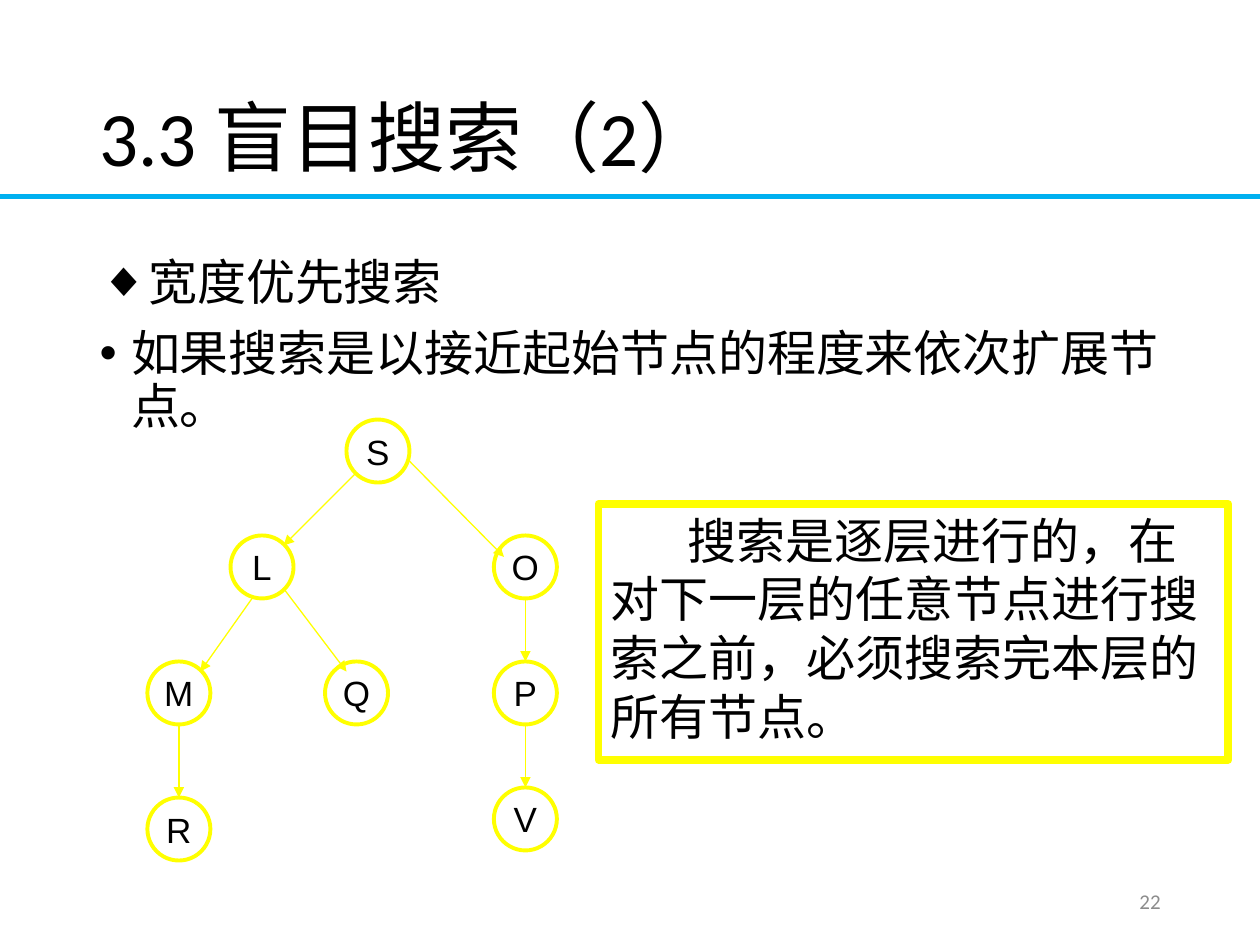
"""Build the slide on breadth-first search with its example tree."""
from lxml import etree
from pptx import Presentation
from pptx import util as u
from pptx.dml.color import RGBColor
from pptx.enum import shapes, text
from pptx.oxml.ns import qn

BLACK = RGBColor(0x00, 0x00, 0x00)
GRAY = RGBColor(0x8C, 0x8C, 0x8C)
YELLOW = RGBColor(0xFF, 0xFF, 0x00)
BLUE = RGBColor(0x00, 0xB0, 0xF0)

TITLE = "3.3 盲目搜索（2）"
BULLETS = [
    ("◆", "宽度优先搜索"),
    ("•", "如果搜索是以接近起始节点的程度来依次扩展节点。"),
]
NOTE = "搜索是逐层进行的，在对下一层的任意节点进行搜索之前，必须搜索完本层的所有节点。"
PAGE_NUMBER = "22"

NODE_SIZE = 0.5
NODE_CENTRES = {
    "S": (3, 3.58),
    "O": (4.17, 4.5),
    "L": (2.08, 4.5),
    "M": (1.42, 5.5),
    "Q": (2.83, 5.5),
    "R": (1.42, 6.58),
    "P": (4.17, 5.5),
    "V": (4.17, 6.5),
}
BELOW, ABOVE = (0, NODE_SIZE / 2), (0, -NODE_SIZE / 2)
EDGES = [
    ("S", (-0.17, 0.17), "L", (0.17, -0.17)),
    ("L", (-0.08, 0.25), "M", (0.17, -0.17)),
    ("M", BELOW, "R", ABOVE),
    ("L", (0.17, 0.17), "Q", (-0.08, -0.17)),
    ("S", (0.25, 0.08), "O", (-0.17, -0.08)),
    ("O", BELOW, "P", ABOVE),
    ("P", BELOW, "V", ABOVE),
]


def place(box, left, top, width, height):
    box.left, box.top = u.Inches(left), u.Inches(top)
    box.width, box.height = u.Inches(width), u.Inches(height)


def write(para, words, size, font, color=BLACK, align=text.PP_ALIGN.LEFT):
    para.alignment = align
    para.space_before = u.Pt(0)
    span = para.add_run()
    span.text = words
    span.font.size = u.Pt(size)
    span.font.name = font
    span.font.color.rgb = color


def set_indent(para, margin, first):
    props = para._p.get_or_add_pPr()
    props.set("marL", str(u.Inches(margin)))
    props.set("indent", str(u.Inches(first)))
    return props


def add_bullet(para, mark):
    props = set_indent(para, 0.25, -0.25)
    etree.SubElement(props, qn("a:buFont"), typeface="Arial")
    etree.SubElement(props, qn("a:buChar"), char=mark)


def add_line(page, start, end, color, width, arrow=False):
    line = page.shapes.add_connector(
        shapes.MSO_CONNECTOR.STRAIGHT, *map(u.Inches, (*start, *end)))
    line.line.color.rgb = color
    line.line.width = u.Pt(width)
    if arrow:
        etree.SubElement(line.line._get_or_add_ln(), qn("a:tailEnd"), type="triangle")
    etree.SubElement(line._element.spPr, qn("a:effectLst"))


def add_outline(page, kind, left, top, width, height, weight):
    box = page.shapes.add_shape(kind, *map(u.Inches, (left, top, width, height)))
    box.shadow.inherit = False
    box.fill.background()
    box.line.color.rgb = YELLOW
    box.line.width = u.Pt(weight)
    return box


def add_headings(page):
    title, body = page.placeholders
    place(title, 0.69, 0.4, 8.62, 1.45)
    title.text_frame.vertical_anchor = text.MSO_ANCHOR.MIDDLE
    para = title.text_frame.paragraphs[0]
    para.line_spacing = 0.9
    write(para, TITLE, 44, "Calibri")

    place(body, 0.69, 2, 8.62, 1.75)
    frame = body.text_frame
    for index, (mark, words) in enumerate(BULLETS):
        para = frame.add_paragraph() if index else frame.paragraphs[0]
        add_bullet(para, mark)
        write(para, words, 28, "Calibri")
        para.line_spacing = 0.9
        para.space_before = u.Pt(10 if index else 0)


def add_tree(page):
    for name, (x, y) in NODE_CENTRES.items():
        node = add_outline(page, shapes.MSO_SHAPE.OVAL, x - NODE_SIZE / 2,
                           y - NODE_SIZE / 2, NODE_SIZE, NODE_SIZE, 2.25)
        frame = node.text_frame
        frame.word_wrap = False
        frame.vertical_anchor = text.MSO_ANCHOR.MIDDLE
        write(frame.paragraphs[0], name, 20, "Arial", align=text.PP_ALIGN.CENTER)
    for parent, leave, child, arrive in EDGES:
        start = [a + b for a, b in zip(NODE_CENTRES[parent], leave)]
        end = [a + b for a, b in zip(NODE_CENTRES[child], arrive)]
        add_line(page, start, end, YELLOW, 0.75, arrow=True)


def add_note(page):
    box = add_outline(page, shapes.MSO_SHAPE.RECTANGLE, 4.75, 4, 5, 2.03, 4.5)
    frame = box.text_frame
    frame.word_wrap = True
    frame.vertical_anchor = text.MSO_ANCHOR.TOP
    set_indent(frame.paragraphs[0], 0, 0.61)
    write(frame.paragraphs[0], NOTE, 28, "Arial")


def add_page_number(page):
    box = page.shapes.add_textbox(*map(u.Inches, (7.06, 6.95, 2.25, 0.4)))
    frame = box.text_frame
    frame.word_wrap = True
    frame.vertical_anchor = text.MSO_ANCHOR.MIDDLE
    write(frame.paragraphs[0], PAGE_NUMBER, 12, "Calibri", GRAY, text.PP_ALIGN.RIGHT)


def main():
    deck = Presentation()
    deck.slide_width, deck.slide_height = u.Inches(10), u.Inches(7.5)
    page = deck.slides.add_slide(deck.slide_layouts[1])
    add_line(page, (0, 1.56), (10, 1.56), BLUE, 3)
    add_headings(page)
    add_page_number(page)
    add_tree(page)
    add_note(page)
    deck.save("out.pptx")


if __name__ == "__main__":
    main()
